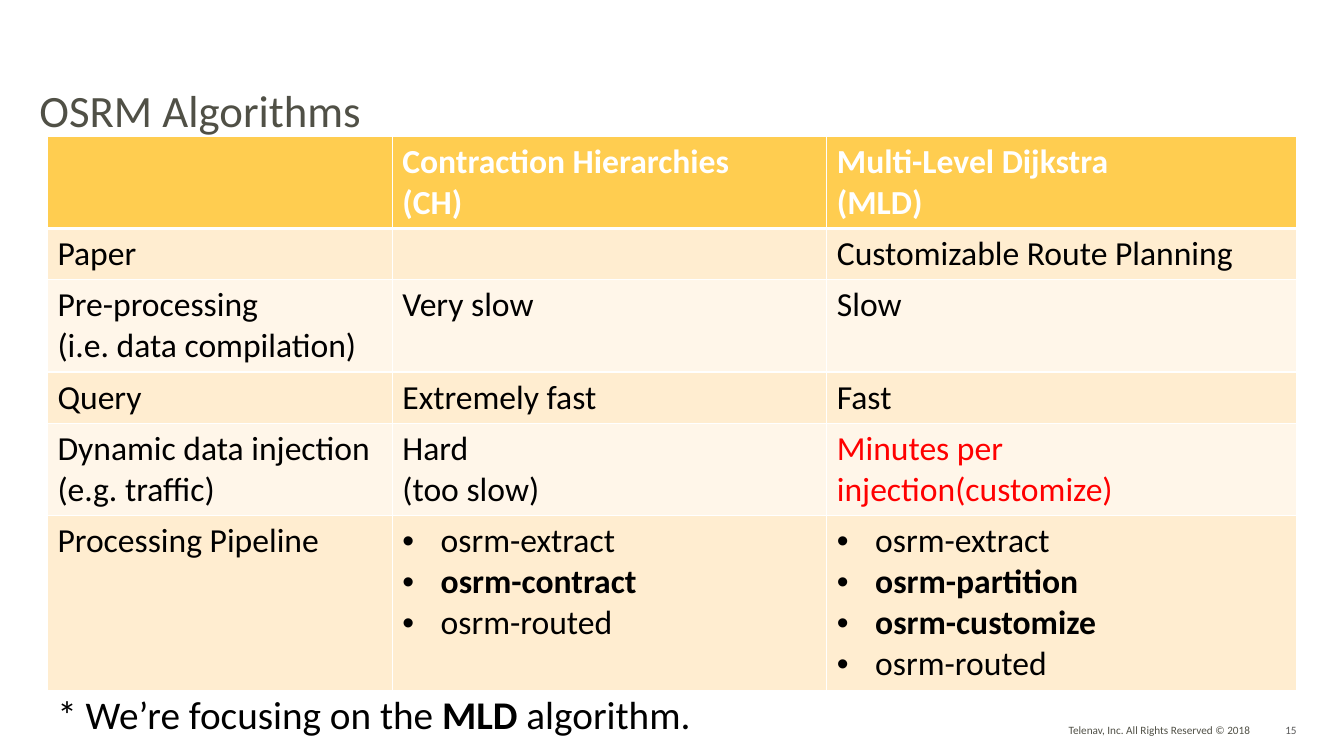
from dataclasses import dataclass

from lxml import etree
from pptx import Presentation
from pptx.dml.color import RGBColor
from pptx.enum.text import MSO_ANCHOR, MSO_AUTO_SIZE
from pptx.oxml.ns import qn
from pptx.util import Emu, Inches, Pt

TOP, BOTTOM = MSO_ANCHOR.TOP, MSO_ANCHOR.BOTTOM
FIXED, GROW = MSO_AUTO_SIZE.NONE, MSO_AUTO_SIZE.SHAPE_TO_FIT_TEXT
WIDE, HIGH = Inches(13.33), Inches(7.5)


@dataclass(frozen=True)
class Theme:
    font: str = "Calibri"
    black: str = "000000"
    white: str = "FFFFFF"
    red: str = "FF0000"
    olive: str = "505046"
    gray: str = "595959"
    head: str = "FFCD50"
    bands: tuple = ("FFEDD0", "FFF6E9")
    title: int = 32
    note: int = 28
    cell: int = 24
    foot: int = 8


THEME = Theme()


@dataclass(frozen=True)
class Bit:
    text: str
    bold: bool = False
    color: str = THEME.black
    dot: bool = False


@dataclass(frozen=True)
class Label:
    """A text box; its place is in percent of the slide."""
    x: float
    y: float
    w: float
    h: float
    bits: tuple
    size: int
    wrap: bool = True
    fit: MSO_AUTO_SIZE = GROW
    anchor: MSO_ANCHOR = TOP
    inset: bool = True
    space: float = 1.0


def across(share: float) -> Emu:
    return Emu(round(WIDE * share / 100))


def down(share: float) -> Emu:
    return Emu(round(HIGH * share / 100))


def put(para, text: str, *, size: int, color: str, bold: bool = False) -> None:
    run = para.add_run()
    run.text = text
    font = run.font
    font.name, font.size, font.bold = THEME.font, Pt(size), bold
    font.color.rgb = RGBColor.from_string(color)


def add_dot(para) -> None:
    props = para._p.get_or_add_pPr()
    props.set("marL", str(Inches(0.38)))
    props.set("indent", str(-Inches(0.38)))
    etree.SubElement(props, qn("a:buFont"), typeface="Arial")
    etree.SubElement(props, qn("a:buChar"), char="•")


def add_edges(cell, base: int) -> None:
    props = cell._tc.get_or_add_tcPr()
    for side, width in (("L", 1), ("R", 1), ("T", 1), ("B", base)):
        line = etree.SubElement(props, qn(f"a:ln{side}"), w=str(Pt(width)))
        fill = etree.SubElement(line, qn("a:solidFill"))
        etree.SubElement(fill, qn("a:srgbClr"), val=THEME.white)


def add_label(slide, label: Label) -> None:
    box = slide.shapes.add_textbox(across(label.x), down(label.y),
                                   across(label.w), down(label.h))
    frame = box.text_frame
    frame.word_wrap, frame.auto_size = label.wrap, label.fit
    frame.vertical_anchor = label.anchor
    if not label.inset:
        frame.margin_left = frame.margin_right = 0
        frame.margin_top = frame.margin_bottom = 0
    para = frame.paragraphs[0]
    para.line_spacing = label.space
    for bit in label.bits:
        put(para, bit.text, size=label.size, color=bit.color, bold=bit.bold)


def fill_cell(cell, bits: tuple, fill: str, base: int) -> None:
    add_edges(cell, base)
    cell.fill.solid()
    cell.fill.fore_color.rgb = RGBColor.from_string(fill)
    frame = cell.text_frame
    for i, bit in enumerate(bits):
        para = frame.add_paragraph() if i else frame.paragraphs[0]
        if bit.dot:
            add_dot(para)
        put(para, bit.text, size=THEME.cell, color=bit.color, bold=bit.bold)


def add_grid(slide, rows: tuple, x: float, y: float, cols: tuple) -> None:
    # Each row is as high as its longest cell
    highs = [down(1.36 + 5.43 * max(map(len, row))) for row in rows]
    frame = slide.shapes.add_table(len(rows), len(cols), across(x), down(y),
                                   across(sum(cols)), Emu(sum(highs)))
    table = frame.table
    for col, share in zip(table.columns, cols):
        col.width = across(share)
    for r, row in enumerate(rows):
        table.rows[r].height = highs[r]
        fill = THEME.bands[(r - 1) % 2] if r else THEME.head
        for c, bits in enumerate(row):
            fill_cell(table.cell(r, c), bits, fill, 1 if r else 3)


def head(*lines: str) -> tuple:
    return tuple(Bit(line, bold=True, color=THEME.white) for line in lines)


def body(*lines: str, color: str = THEME.black) -> tuple:
    return tuple(Bit(line, color=color) for line in lines)


def steps(*names: str) -> tuple:
    """Bulleted steps; those between the first and last are bold."""
    last = len(names) - 1
    return tuple(Bit(name, bold=0 < i < last, dot=True)
                 for i, name in enumerate(names))


ROWS = (
    ((), head("Contraction Hierarchies", "(CH)"),
     head("Multi-Level Dijkstra", "(MLD)")),
    (body("Paper"), (), body("Customizable Route Planning")),
    (body("Pre-processing", "(i.e. data compilation)"),
     body("Very slow"), body("Slow")),
    (body("Query"), body("Extremely fast"), body("Fast")),
    (body("Dynamic data injection", "(e.g. traffic)"),
     body("Hard", "(too slow)"),
     body("Minutes per injection(customize)", color=THEME.red)),
    (body("Processing Pipeline"),
     steps("osrm-extract", "osrm-contract", "osrm-routed"),
     steps("osrm-extract", "osrm-partition", "osrm-customize", "osrm-routed")),
)

FOOT = (
    Label(94.9, 95.07, 2.63, 3.33, body("15", color=THEME.gray),
          THEME.foot, wrap=False),
    Label(78.77, 95.33, 17.1, 2.93,
          body("Telenav, Inc. All Rights Reserved © 2018", color=THEME.olive),
          THEME.foot, space=0.85),
)
TITLE = Label(2.93, 5.2, 92.5, 12.93, body("OSRM Algorithms", color=THEME.olive),
              THEME.title, fit=FIXED, anchor=BOTTOM, inset=False, space=0.9)
NOTE = Label(3.53, 90.67, 50.04, 7.6,
             (Bit("* We’re focusing on the "), Bit("MLD", bold=True),
              Bit(" algorithm.")), THEME.note, wrap=False)


def main() -> None:
    deck = Presentation()
    deck.slide_width, deck.slide_height = WIDE, HIGH
    slide = deck.slides.add_slide(deck.slide_layouts[6])
    # Footer and title
    for label in (*FOOT, TITLE):
        add_label(slide, label)
    # Comparison table, then the note below it
    add_grid(slide, ROWS, x=3.53, y=18, cols=(25.66, 32.33, 34.96))
    add_label(slide, NOTE)
    deck.save("out.pptx")


if __name__ == "__main__":
    main()
